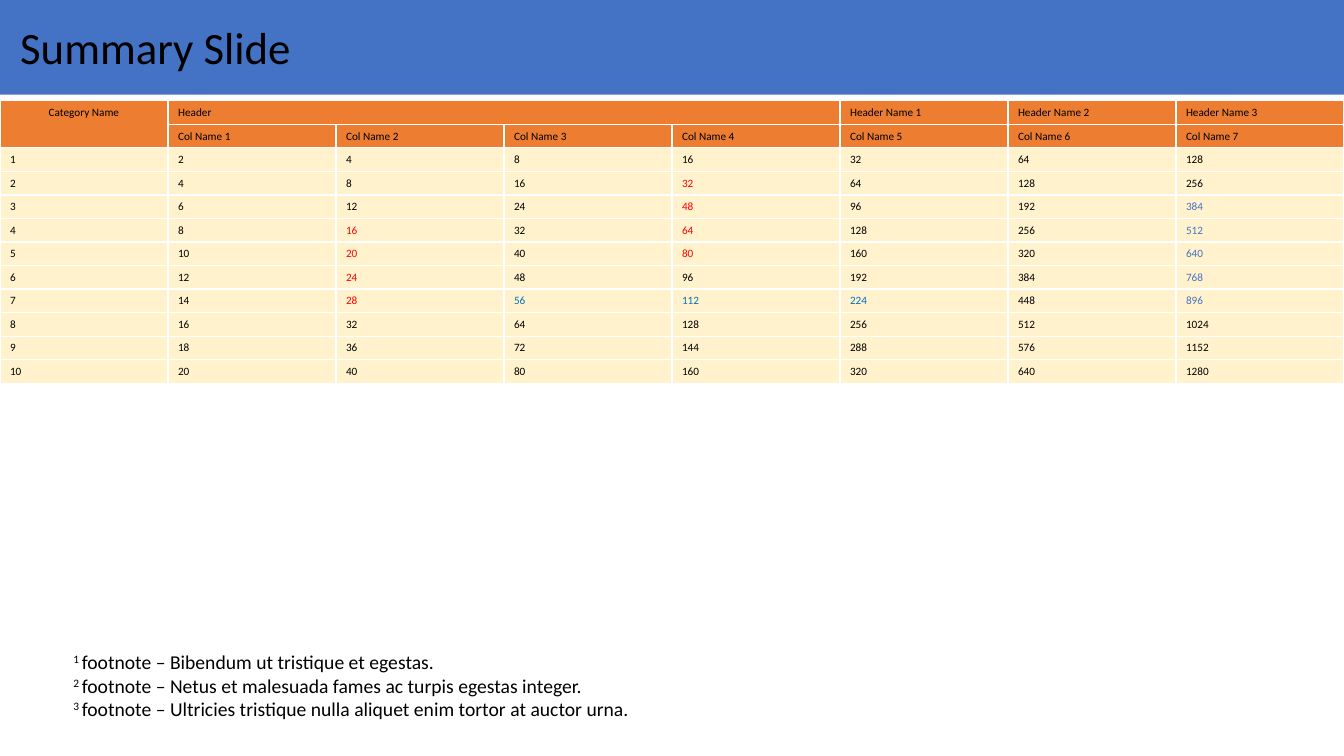
from dataclasses import dataclass

from lxml.etree import SubElement
from pptx import Presentation
from pptx.dml.color import RGBColor
from pptx.enum.text import MSO_ANCHOR as Anchor, PP_ALIGN as Align
from pptx.oxml.ns import qn
from pptx.util import Inches, Pt


@dataclass(frozen=True)
class Theme:
    font: str = "Calibri"
    text: str = "000000"
    banner: str = "4472C4"
    header: str = "ED7D31"
    body: str = "FFF2CC"
    border: str = "FFFFFF"
    low: str = "FF0000"
    high: str = "4472C4"
    peak: str = "0070C0"
    title_size: int = 32
    note_size: int = 14
    table_size: int = 8


@dataclass(frozen=True)
class Header:
    row: int
    col: int
    text: str
    rows: int = 1
    cols: int = 1
    align: Align = Align.LEFT


@dataclass(frozen=True)
class Highlight:
    rows: range
    cols: range
    color: str


THEME = Theme()
COLUMNS, HEADER_ROWS, BODY_ROWS = 8, 2, 10
ROW_HEIGHT = Inches(0.23)

HEADERS = [
    Header(0, 0, "Category Name", rows=2, align=Align.CENTER),
    Header(0, 1, "Header", cols=4),
    *(Header(0, 4 + n, f"Header Name {n}") for n in range(1, 4)),
    *(Header(1, n, f"Col Name {n}") for n in range(1, COLUMNS)),
]
# Rows are category numbers, columns are table columns
HIGHLIGHTS = [
    Highlight(range(4, 8), range(2, 3), THEME.low),
    Highlight(range(2, 6), range(4, 5), THEME.low),
    Highlight(range(3, 8), range(7, 8), THEME.high),
    Highlight(range(7, 8), range(3, 6), THEME.peak),
]
FOOTNOTES = [
    "Bibendum ut tristique et egestas.",
    "Netus et malesuada fames ac turpis egestas integer.",
    "Ultricies tristique nulla aliquet enim tortor at auctor urna.",
]


def style_span(span, size: int, color: str = THEME.text) -> None:
    span.font.name = THEME.font
    span.font.size = Pt(size)
    span.font.bold = False
    span.font.color.rgb = RGBColor.from_string(color)


def fill_solid(item, color: str) -> None:
    item.fill.solid()
    item.fill.fore_color.rgb = RGBColor.from_string(color)


def add_borders(cell) -> None:
    properties = cell._tc.get_or_add_tcPr()
    for side in ("a:lnL", "a:lnR", "a:lnT", "a:lnB"):
        line = SubElement(properties, qn(side), w=str(Pt(1)))
        SubElement(SubElement(line, qn("a:solidFill")), qn("a:srgbClr"), val=THEME.border)


def write_cell(cell, text: str, color: str = THEME.text, align: Align = Align.LEFT) -> None:
    cell.text_frame.text = text
    para = cell.text_frame.paragraphs[0]
    para.alignment = align
    style_span(para.runs[0], THEME.table_size, color)


def value_color(category: int, col: int) -> str:
    matches = (mark.color for mark in HIGHLIGHTS
               if category in mark.rows and col in mark.cols)
    return next(matches, THEME.text)


def add_title(page, width: int) -> None:
    title = page.shapes.title
    title.left, title.top, title.width, title.height = 0, 0, width, Inches(0.94)
    fill_solid(title, THEME.banner)
    frame = title.text_frame
    frame.text = "Summary Slide"
    frame.vertical_anchor = Anchor.TOP
    frame.margin_left = frame.margin_right = Inches(0.2)
    frame.margin_top = frame.margin_bottom = Inches(0.2)
    para = frame.paragraphs[0]
    para.alignment = Align.LEFT
    style_span(para.runs[0], THEME.title_size)


def add_footnotes(page) -> None:
    box = page.shapes.add_textbox(Inches(0.63), Inches(6.4), Inches(7.63), Inches(1.04))
    frame = box.text_frame
    frame.word_wrap = True
    for number, note in enumerate(FOOTNOTES, start=1):
        para = frame.paragraphs[0] if number == 1 else frame.add_paragraph()
        marker, body = para.add_run(), para.add_run()
        marker.text, body.text = f"{number} ", f"footnote – {note}"
        for span in (marker, body):
            style_span(span, THEME.note_size)
        marker._r.get_or_add_rPr().set("baseline", "30000")


def add_summary_table(page, width: int) -> None:
    row_count = HEADER_ROWS + BODY_ROWS
    table = page.shapes.add_table(row_count, COLUMNS, 0, Inches(1), width,
                                  ROW_HEIGHT * row_count).table
    table.first_row = table.horz_banding = False
    for row in range(row_count):
        for col in range(COLUMNS):
            cell = table.cell(row, col)
            add_borders(cell)
            fill_solid(cell, THEME.header if row < HEADER_ROWS else THEME.body)

    # Header cells, some spanning several rows or columns
    for head in HEADERS:
        cell = table.cell(head.row, head.col)
        if head.rows > 1 or head.cols > 1:
            cell.merge(table.cell(head.row + head.rows - 1, head.col + head.cols - 1))
        write_cell(cell, head.text, align=head.align)

    # Each column doubles the one before it
    for category in range(1, BODY_ROWS + 1):
        for col in range(COLUMNS):
            cell = table.cell(HEADER_ROWS + category - 1, col)
            write_cell(cell, str(category * 2 ** col), value_color(category, col))


def main() -> None:
    deck = Presentation()
    deck.slide_width, deck.slide_height = Inches(13.33), Inches(7.5)
    page = deck.slides.add_slide(deck.slide_layouts.get_by_name("Title Only"))
    add_title(page, deck.slide_width)
    add_footnotes(page)
    add_summary_table(page, deck.slide_width)
    deck.save("out.pptx")


main()
